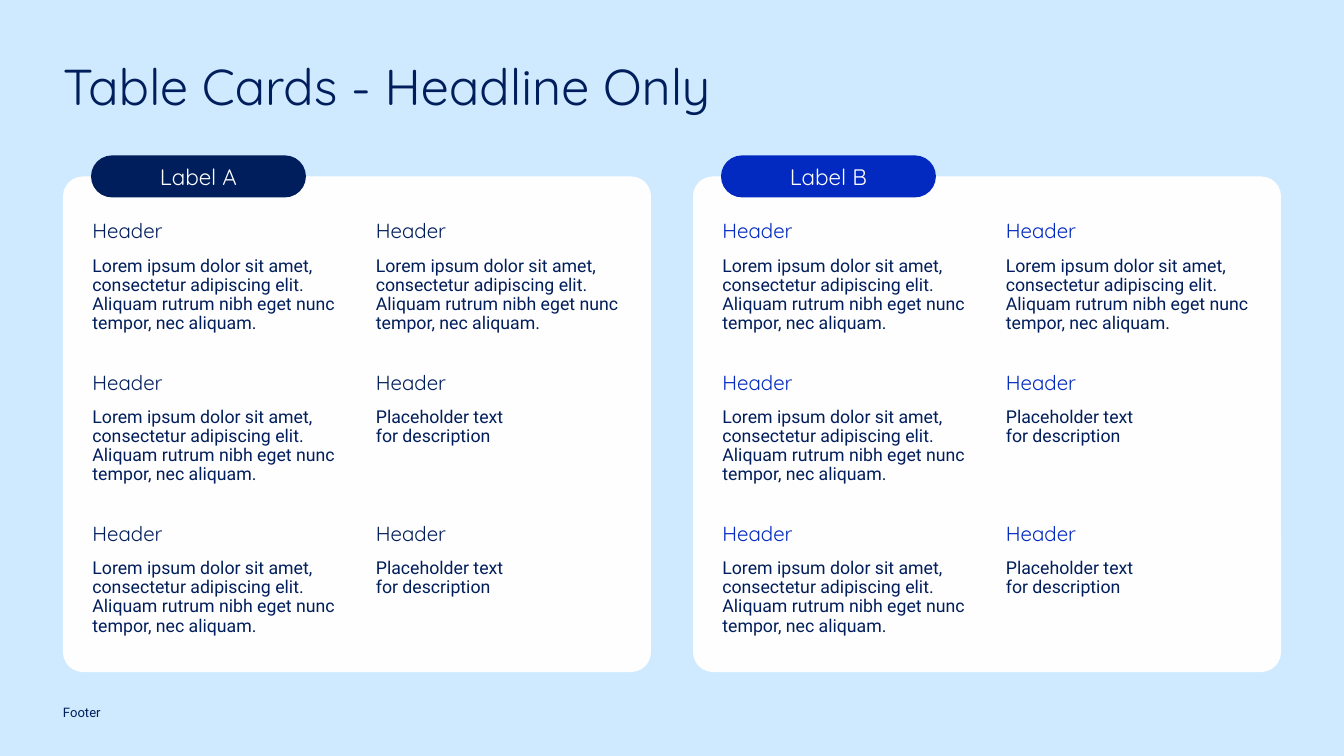
import pptx
import pptx.util
import pptx.dml.color
import pptx.enum.shapes
import pptx.enum.text

# Content
TITLE = "Table Cards - Headline Only"
FOOTER = "Footer"
LOREM = ["Lorem ipsum dolor sit amet, consectetur adipiscing elit. "
         "Aliquam rutrum nibh eget nunc tempor, nec aliquam."]
SHORT = ["Placeholder text", "for description"]
ROWS = [
    [("Header", LOREM), ("Header", LOREM)],
    [("Header", LOREM), ("Header", SHORT)],
    [("Header", LOREM), ("Header", SHORT)],
]
CARDS = [("Label A", "navy", ROWS), ("Label B", "blue", ROWS)]

# Style
COLORS = {"sky": "CFE9FE", "card": "FFFEFE", "navy": "001E5B",
          "blue": "022AC0", "white": "FFFFFF"}
HEADING, BODY = "Quicksand", "Roboto"

# Layout in px, 96 to the inch
EMU_PER_PX = 9525
PAGE_W, PAGE_H = 1920, 1080
MARGIN = 90
CARD_Y, CARD_W, CARD_H, CARD_STEP = 252, 840, 708, 900
PILL_DX, PILL_Y, PILL_W, PILL_H = 40, 222, 307, 60
CELL_DX, CELL_Y, CELL_W = 42, 316, 351
COLUMN_STEP, ROW_STEP = 405, 216
HEADER_H, BODY_DY, BODY_H = 47, 51, 118


def px(*lengths):
    return [pptx.util.Emu(length * EMU_PER_PX) for length in lengths]


def color(name):
    return pptx.dml.color.RGBColor.from_string(COLORS[name])


def style(para, size, font, ink):
    para.font.size = pptx.util.Pt(size)
    para.font.name = font
    para.font.color.rgb = color(ink)


def add_text(page, place, lines, size, font, ink):
    frame = page.shapes.add_textbox(*px(*place)).text_frame
    frame.word_wrap = True
    frame.margin_left = frame.margin_right = 0
    frame.margin_top = frame.margin_bottom = 0
    frame.text = "\n".join(lines)
    for para in frame.paragraphs:
        para.line_spacing = 0.9
        style(para, size, font, ink)


def add_rounded(page, place, radius, fill):
    shape = page.shapes.add_shape(
        pptx.enum.shapes.MSO_SHAPE.ROUNDED_RECTANGLE, *px(*place))
    shape.adjustments[0] = radius
    shape.shadow.inherit = False
    shape.fill.solid()
    shape.fill.fore_color.rgb = color(fill)
    shape.line.fill.background()
    return shape


def add_card(page, left, label, accent, rows):
    add_rounded(page, (left, CARD_Y, CARD_W, CARD_H), 0.04, "card")

    # Grid of headers and descriptions
    for row, cells in enumerate(rows):
        for column, (header, description) in enumerate(cells):
            x = left + CELL_DX + column * COLUMN_STEP
            y = CELL_Y + row * ROW_STEP
            add_text(page, (x, y, CELL_W, HEADER_H), [header], 22, HEADING, accent)
            add_text(page, (x, y + BODY_DY, CELL_W, BODY_H), description,
                     19, BODY, "navy")

    # Label pill over the top edge
    pill = add_rounded(page, (left + PILL_DX, PILL_Y, PILL_W, PILL_H), 0.5, accent)
    frame = pill.text_frame
    frame.vertical_anchor = pptx.enum.text.MSO_ANCHOR.MIDDLE
    frame.text = label
    para = frame.paragraphs[0]
    para.alignment = pptx.enum.text.PP_ALIGN.CENTER
    style(para, 24, HEADING, "white")


def main():
    deck = pptx.Presentation()
    deck.slide_width, deck.slide_height = px(PAGE_W, PAGE_H)
    page = deck.slides.add_slide(deck.slide_layouts[6])
    page.background.fill.solid()
    page.background.fill.fore_color.rgb = color("sky")

    add_text(page, (MARGIN, 88, 1590, 90), [TITLE], 54, HEADING, "navy")
    for index, (label, accent, rows) in enumerate(CARDS):
        add_card(page, MARGIN + index * CARD_STEP, label, accent, rows)
    add_text(page, (MARGIN, 1009, PAGE_W - 2 * MARGIN, 45), [FOOTER],
             14, BODY, "navy")

    deck.save("out.pptx")


if __name__ == "__main__":
    main()
